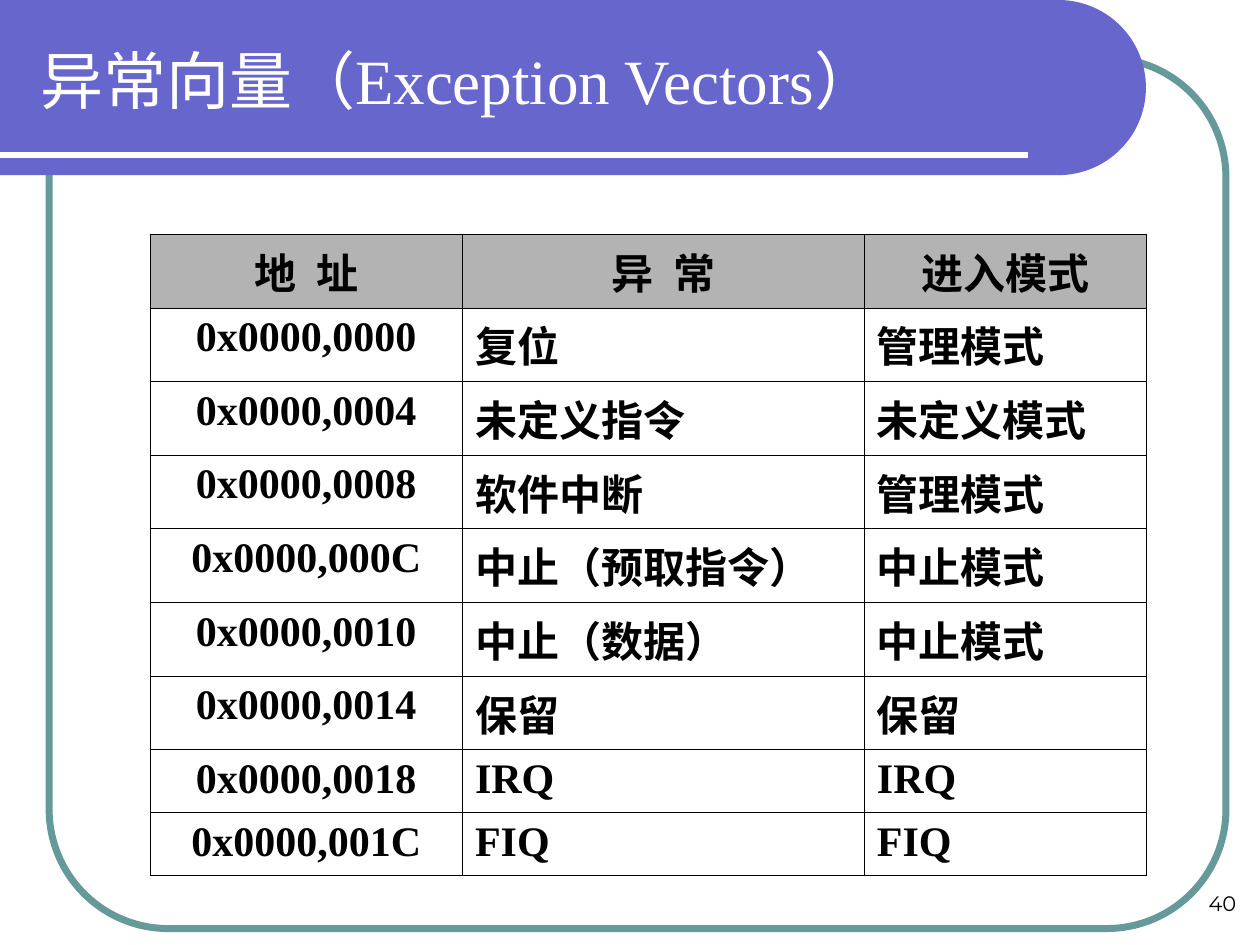
from dataclasses import dataclass
from math import cos, pi, sin

from lxml.etree import SubElement
from pptx import Presentation
from pptx.dml.color import RGBColor
from pptx.enum.shapes import MSO_CONNECTOR as Connector, MSO_SHAPE as Shape
from pptx.enum.text import MSO_ANCHOR as Anchor, PP_ALIGN as Align
from pptx.oxml.ns import qn
from pptx.util import Inches, Pt

COLORS = {
    "frame": "669999",
    "band": "6666CC",
    "header": "B3B3B3",
    "white": "FFFFFF",
    "black": "000000",
}
SERIF = "Times New Roman"
HEADERS = ("地 址", "异 常", "进入模式")
COL_WIDTHS = (2.48, 3.19, 2.24)
LATIN_ROW = 0.5
CHINESE_ROW = 4.09 / 7  # seven rows share 4.09 inches
HANGING = Inches(0.38)
BORDER_WIDTH = Pt(0.45)


@dataclass
class Vector:
    address: str
    exception: str
    mode: str


@dataclass
class Label:
    text: str
    box: tuple[float, float, float, float]
    size: int
    font: str
    color: str
    align: Align
    anchor: Anchor


VECTORS = [
    Vector("0x0000,0000", "复位", "管理模式"),
    Vector("0x0000,0004", "未定义指令", "未定义模式"),
    Vector("0x0000,0008", "软件中断", "管理模式"),
    Vector("0x0000,000C", "中止（预取指令）", "中止模式"),
    Vector("0x0000,0010", "中止（数据）", "中止模式"),
    Vector("0x0000,0014", "保留", "保留"),
    Vector("0x0000,0018", "IRQ", "IRQ"),
    Vector("0x0000,001C", "FIQ", "FIQ"),
]
LABELS = [
    Label("40", (7.94, 6.82, 1.97, 0.5), 12, "Montserrat", "black",
          Align.RIGHT, Anchor.BOTTOM),
    Label("异常向量（Exception Vectors）", (0.22, 0.13, 7.54, 1), 36, SERIF, "white",
          Align.LEFT, Anchor.MIDDLE),
]


def rgb(name: str) -> RGBColor:
    return RGBColor.from_string(COLORS[name])


def style_font(font, name: str, size: int, color: str, bold: bool = False) -> None:
    font.name, font.size, font.bold = name, Pt(size), bold
    font.color.rgb = rgb(color)


def add_frame(slide) -> None:
    sp = slide.shapes.add_shape(Shape.ROUNDED_RECTANGLE, Inches(0.39), Inches(0.46),
                                Inches(9.34), Inches(6.91))
    sp.adjustments[0] = 0.137
    sp.shadow.inherit = False
    sp.fill.background()
    sp.line.color.rgb = rgb("frame")
    sp.line.width = Pt(4)


def add_title_band(slide, straight: float = 8.4, height: float = 1.39,
                   steps: int = 60) -> None:
    """Draw the band at the top left, ending in a half circle on the right."""
    radius = height / 2
    angles = [pi * i / steps - pi / 2 for i in range(steps + 1)]
    arc = [(Inches(straight + radius * cos(a)), Inches(radius + radius * sin(a)))
           for a in angles]
    builder = slide.shapes.build_freeform(0, 0)
    builder.add_line_segments([*arc, (0, Inches(height))], close=True)
    sp = builder.convert_to_shape()
    sp.shadow.inherit = False
    sp.fill.solid()
    sp.fill.fore_color.rgb = rgb("band")
    sp.line.fill.background()


def add_title_rule(slide) -> None:
    line = slide.shapes.add_connector(Connector.STRAIGHT, 0, Inches(1.23),
                                      Inches(8.16), Inches(1.23))
    line.line.color.rgb = rgb("white")
    line.line.width = Pt(3)
    SubElement(line._element.spPr, qn("a:effectLst"))


def add_label(slide, label: Label) -> None:
    tf = slide.shapes.add_textbox(*map(Inches, label.box)).text_frame
    tf.word_wrap = True
    tf.vertical_anchor = label.anchor
    tf.text = label.text
    p = tf.paragraphs[0]
    p.alignment = label.align
    style_font(p.runs[0].font, label.font, label.size, label.color)


def add_borders(cell) -> None:
    """Put the four edges ahead of the fill, as the schema orders them."""
    tc_pr = cell._tc.get_or_add_tcPr()
    for i, edge in enumerate(("a:lnL", "a:lnR", "a:lnT", "a:lnB")):
        ln = SubElement(tc_pr, qn(edge), w=str(BORDER_WIDTH))
        fill = SubElement(ln, qn("a:solidFill"))
        SubElement(fill, qn("a:srgbClr"), val=COLORS["black"])
        tc_pr.insert(i, ln)


def fill_cell(cell, text: str, centred: bool, header: bool) -> None:
    cell.text = text
    p = cell.text_frame.paragraphs[0]
    p.alignment = Align.CENTER if centred else Align.LEFT
    p_pr = p._p.get_or_add_pPr()
    p_pr.set("marL", str(HANGING))
    p_pr.set("indent", str(-HANGING))
    r = p.runs[0]
    style_font(r.font, SERIF, 24, "black", bold=True)
    if " " in text:
        r._r.get_or_add_rPr().set("spc", "300")
    if header:
        cell.fill.solid()
        cell.fill.fore_color.rgb = rgb("header")
    else:
        cell.fill.background()
    add_borders(cell)


def add_vector_table(slide) -> None:
    rows = [HEADERS, *((v.address, v.exception, v.mode) for v in VECTORS)]
    heights = [LATIN_ROW if texts[-1].isascii() else CHINESE_ROW for texts in rows]
    table = slide.shapes.add_table(
        len(rows), len(HEADERS), Inches(1.19), Inches(1.86),
        Inches(sum(COL_WIDTHS)), Inches(sum(heights))).table
    table.first_row = table.horz_banding = False
    for column, width in zip(table.columns, COL_WIDTHS):
        column.width = Inches(width)
    for i, (texts, height) in enumerate(zip(rows, heights)):
        table.rows[i].height = Inches(height)
        for j, text in enumerate(texts):
            fill_cell(table.cell(i, j), text, centred=i == 0 or j == 0, header=i == 0)


def main() -> None:
    prs = Presentation()
    prs.slide_width, prs.slide_height = Inches(10), Inches(7.5)
    slide = prs.slides.add_slide(prs.slide_layouts[6])
    add_frame(slide)
    add_title_band(slide)
    add_title_rule(slide)
    for label in LABELS:
        add_label(slide, label)
    add_vector_table(slide)
    prs.save("out.pptx")


if __name__ == "__main__":
    main()
